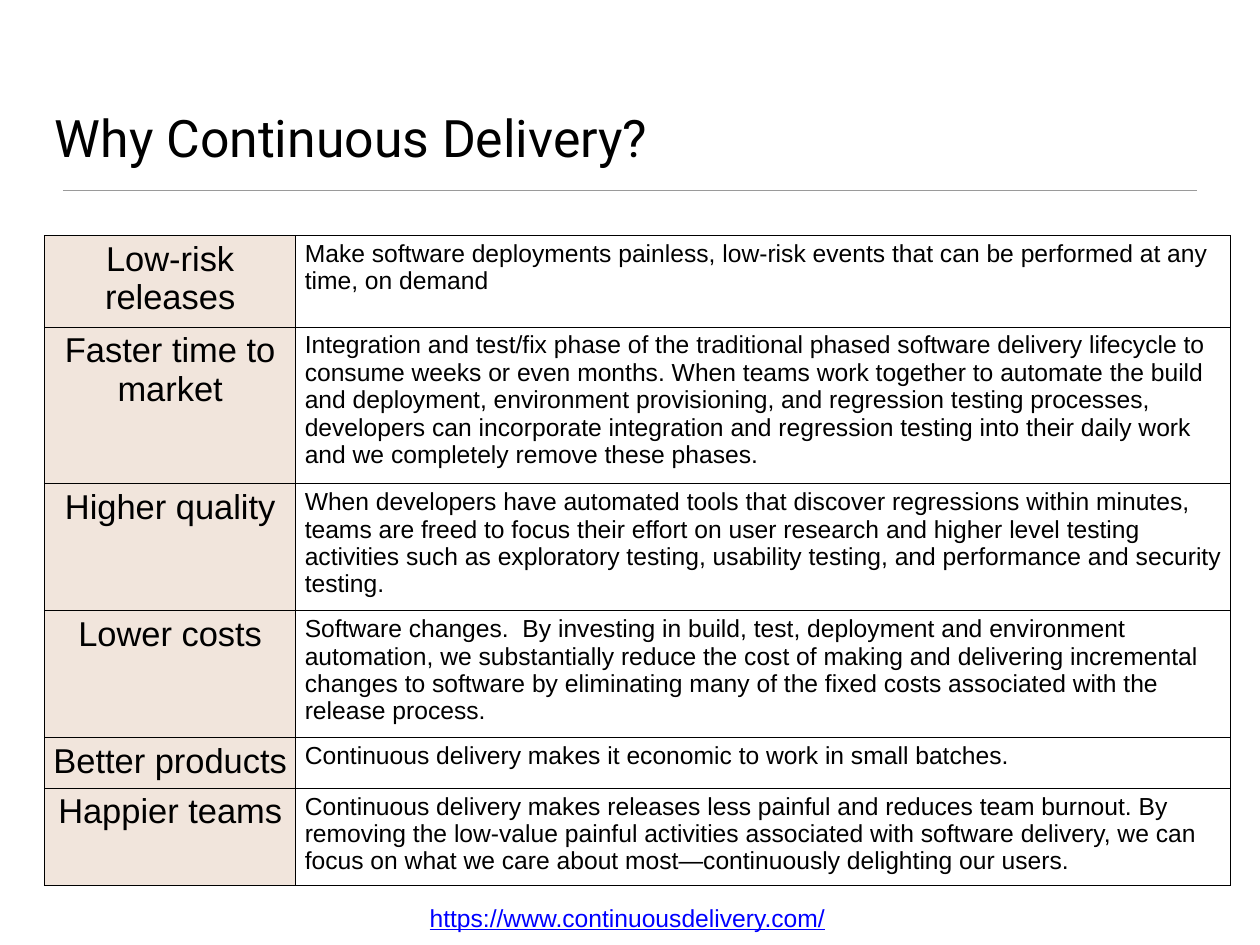
from lxml import etree
from pptx import Presentation
from pptx.dml.color import RGBColor
from pptx.enum.shapes import MSO_CONNECTOR as Connector
from pptx.enum.text import MSO_ANCHOR as Anchor, PP_ALIGN as Align
from pptx.oxml.ns import qn
from pptx.util import Inches, Pt

# Content
TITLE = "Why Continuous Delivery?"
ADDRESS = "https://www.continuousdelivery.com/"
# benefit, explanation, row height
BENEFITS = [
    ("Low-risk releases",
     "Make software deployments painless, low-risk events that can be performed "
     "at any time, on demand", 1.03),
    ("Faster time to market",
     "Integration and test/fix phase of the traditional phased software delivery "
     "lifecycle to consume weeks or even months. When teams work together to "
     "automate the build and deployment, environment provisioning, and regression "
     "testing processes, developers can incorporate integration and regression "
     "testing into their daily work and we completely remove these phases.", 1.77),
    ("Higher quality",
     "When developers have automated tools that discover regressions within "
     "minutes, teams are freed to focus their effort on user research and higher "
     "level testing activities such as exploratory testing, usability testing, and "
     "performance and security testing.", 1.43),
    ("Lower costs",
     "Software changes.  By investing in build, test, deployment and environment "
     "automation, we substantially reduce the cost of making and delivering "
     "incremental changes to software by eliminating many of the fixed costs "
     "associated with the release process.", 1.43),
    ("Better products",
     "Continuous delivery makes it economic to work in small batches.", 0.57),
    ("Happier teams",
     "Continuous delivery makes releases less painful and reduces team burnout. By "
     "removing the low-value painful activities associated with software delivery, "
     "we can focus on what we care about most—continuously delighting our users.",
     1.1),
]
COLUMN_WIDTHS = (2.84, 10.55)

# Formats
COLORS = {"text": "000000", "link": "0000FF", "rule": "9A9A9A",
          "border": "000000", "benefit": "F1E5DC", "explanation": "FFFFFF"}
FONTS = {
    "title": {"name": "Roboto", "size": Pt(42)},
    "address": {"name": "Arial", "size": Pt(20), "underline": True},
    "benefit": {"name": "Arial", "size": Pt(28)},
    "explanation": {"name": "Arial", "size": Pt(20)},
}
TITLE_FRAME = {"vertical_anchor": Anchor.BOTTOM, "margin_left": 0,
               "margin_right": 0, "margin_top": 0, "margin_bottom": 0}


def rgb(color):
    return RGBColor.from_string(COLORS[color])


def write(frame, text, style, color="text", align=Align.LEFT):
    paragraph = frame.paragraphs[0]
    paragraph.alignment = align
    run = paragraph.add_run()
    run.text = text
    for attribute, value in FONTS[style].items():
        setattr(run.font, attribute, value)
    run.font.color.rgb = rgb(color)


def add_text(slide, box, text, style, color="text", frame_format=None):
    frame = slide.shapes.add_textbox(*map(Inches, box)).text_frame
    frame.word_wrap = True
    for attribute, value in (frame_format or {}).items():
        setattr(frame, attribute, value)
    write(frame, text, style, color)


def add_borders(cell):
    properties = cell._tc.get_or_add_tcPr()
    for index, side in enumerate(("a:lnL", "a:lnR", "a:lnT", "a:lnB")):
        border = etree.Element(qn(side), w=str(Pt(1)))
        fill = etree.SubElement(border, qn("a:solidFill"))
        etree.SubElement(fill, qn("a:srgbClr"), val=COLORS["border"])
        properties.insert(index, border)


def main():
    deck = Presentation()
    deck.slide_width, deck.slide_height = Inches(14.22), Inches(10.67)
    slide = deck.slides.add_slide(deck.slide_layouts[6])

    # Title and the rule below it
    rule = slide.shapes.add_connector(
        Connector.STRAIGHT, *map(Inches, (0.71, 2.15, 13.51, 2.15)))
    rule.line.color.rgb = rgb("rule")
    rule.line.width = Pt(1)
    etree.SubElement(rule._element.spPr, qn("a:effectLst"))
    add_text(slide, (0.62, 0.36, 12.97, 1.53), TITLE, "title",
             frame_format=TITLE_FRAME)

    # Table of benefits
    heights = [height for _, _, height in BENEFITS]
    table = slide.shapes.add_table(
        len(BENEFITS), len(COLUMN_WIDTHS), Inches(0.5), Inches(2.66),
        Inches(sum(COLUMN_WIDTHS)), Inches(sum(heights))).table
    table.first_row = table.horz_banding = False
    for column, width in zip(table.columns, COLUMN_WIDTHS):
        column.width = Inches(width)
    for row, (benefit, explanation, height) in zip(table.rows, BENEFITS):
        row.height = Inches(height)
        entries = ((benefit, "benefit", Align.CENTER),
                   (explanation, "explanation", Align.LEFT))
        for cell, (text, style, align) in zip(row.cells, entries):
            cell.fill.solid()
            cell.fill.fore_color.rgb = rgb(style)
            write(cell.text_frame, text, style, align=align)
            add_borders(cell)

    # Web address
    add_text(slide, (4.75, 10.14, 4.81, 0.44), ADDRESS, "address", "link")

    deck.save("out.pptx")


if __name__ == "__main__":
    main()
